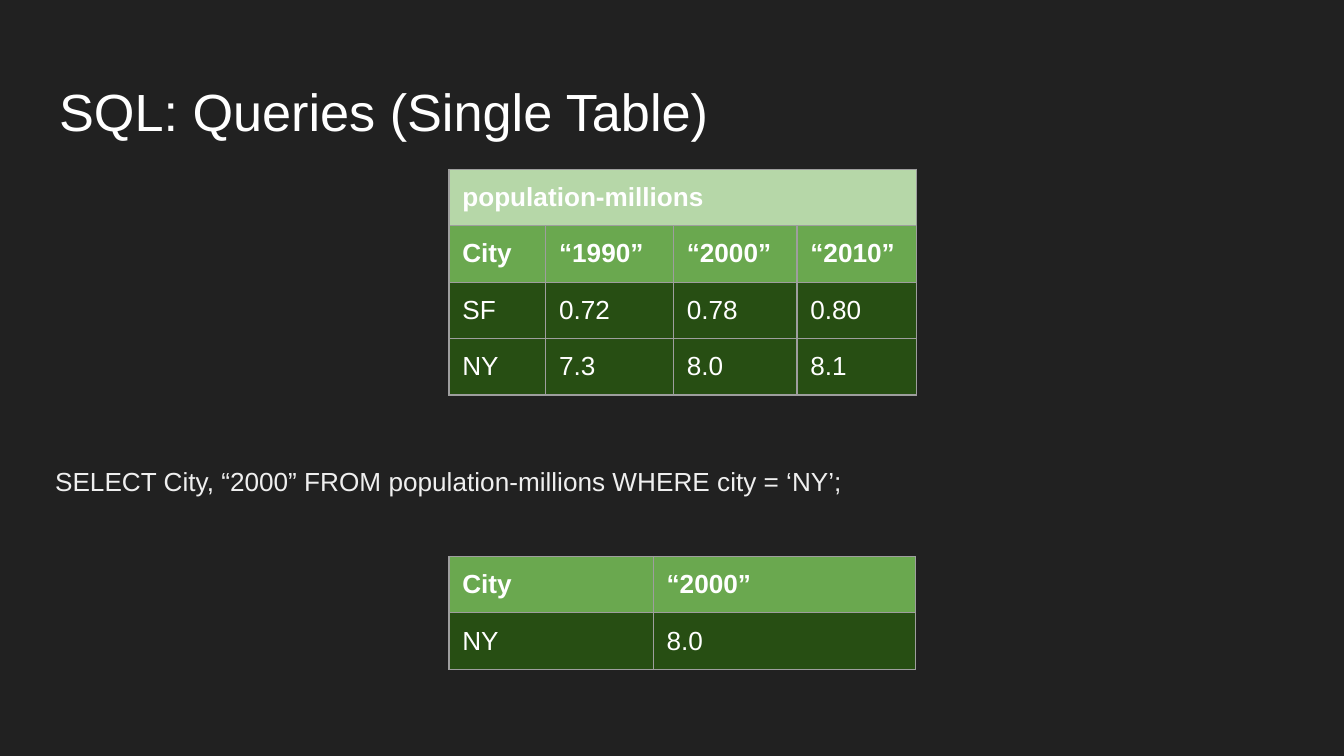
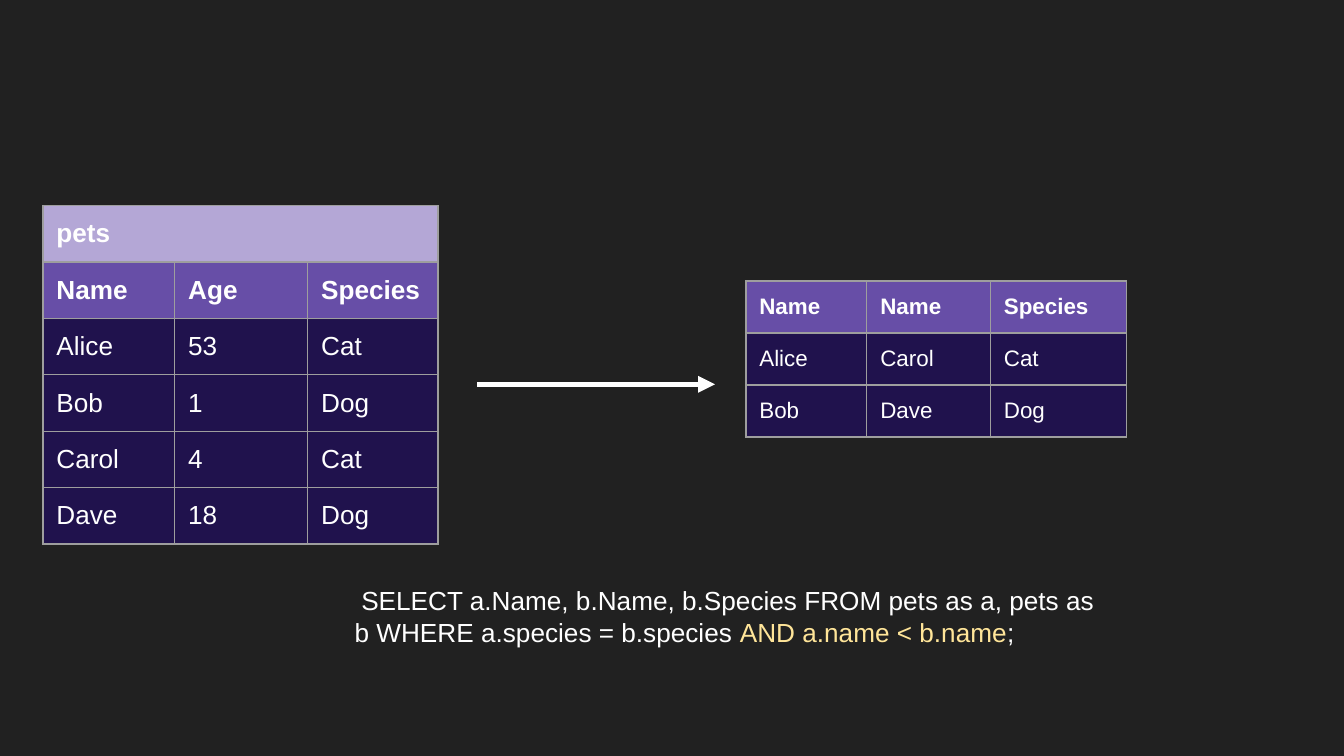
from dataclasses import dataclass

import lxml.etree
import pptx
import pptx.dml.color
import pptx.enum.shapes
import pptx.enum.text
import pptx.oxml.ns
import pptx.util

Inches = pptx.util.Inches
Pt = pptx.util.Pt
qn = pptx.oxml.ns.qn


@dataclass(frozen=True)
class Theme:
    font: str = "Arial"
    background: str = "212121"
    white: str = "FFFFFF"
    soft_white: str = "EFEFEF"
    highlight: str = "FFE599"
    border: str = "9E9E9E"
    # Fills for table name, column heads and data rows
    greens: tuple = ("B6D7A8", "6AA84F", "274E13")
    purples: tuple = ("B4A7D6", "674EA7", "20124D")
    title_size: int = 28
    text_size: int = 14
    small_size: int = 12
    inset: float = 0.1
    border_width: float = 0.75
    arrow_width: float = 3


def rgb(color):
    return pptx.dml.color.RGBColor.from_string(color)


class Deck:
    def __init__(self, theme):
        self.theme = theme
        self.presentation = pptx.Presentation()
        self.presentation.slide_width = Inches(10)
        self.presentation.slide_height = Inches(10) * 9 // 16
        fill = self.presentation.slide_master.background.fill
        fill.solid()
        fill.fore_color.rgb = rgb(theme.background)
        self.slide = None

    def add_slide(self, layout_name):
        layout = self.presentation.slide_layouts.get_by_name(layout_name)
        self.slide = self.presentation.slides.add_slide(layout)

    def style(self, font, size, color, bold=False):
        font.name = self.theme.font
        font.size = Pt(size)
        font.bold = bold
        font.color.rgb = rgb(color)

    def frame(self, shape, left, top, width, height):
        """Place a text shape and return its first paragraph, ready to fill."""
        shape.left, shape.top = Inches(left), Inches(top)
        shape.width, shape.height = Inches(width), Inches(height)
        text_frame = shape.text_frame
        text_frame.word_wrap = True
        text_frame.auto_size = pptx.enum.text.MSO_AUTO_SIZE.NONE
        text_frame.vertical_anchor = pptx.enum.text.MSO_ANCHOR.TOP
        for side in ("left", "top", "right", "bottom"):
            setattr(text_frame, f"margin_{side}", Inches(self.theme.inset))
        paragraph = text_frame.paragraphs[0]
        paragraph.alignment = pptx.enum.text.PP_ALIGN.LEFT
        paragraph.space_before = Pt(0)
        return paragraph

    def title(self, text, *box):
        paragraph = self.frame(self.slide.shapes.title, *box)
        paragraph.text = text
        self.style(paragraph.font, self.theme.title_size, self.theme.white)

    def body(self, text, *box):
        paragraph = self.frame(self.slide.placeholders[1], *box)
        paragraph.text = text
        properties = paragraph._p.get_or_add_pPr()
        properties.set("marL", "0")
        properties.set("indent", "0")
        lxml.etree.SubElement(properties, qn("a:buNone"))
        self.style(paragraph.font, self.theme.text_size, self.theme.soft_white)

    def text(self, parts, *box, first_indent=0):
        """Add a text box whose parts are (text, color) pairs."""
        shape = self.slide.shapes.add_textbox(0, 0, 0, 0)
        paragraph = self.frame(shape, *box)
        paragraph._p.get_or_add_pPr().set("indent", str(Inches(first_indent)))
        for text, color in parts:
            run = paragraph.add_run()
            run.text = text
            self.style(run.font, self.theme.text_size, color)

    def table(self, left, top, widths, row_height, rows, fills, name=None, size=None):
        """Add a table: an optional merged name row, column heads, then data."""
        name_fill, head_fill, data_fill = fills
        row_fills = [head_fill] + [data_fill] * (len(rows) - 1)
        if name:
            rows = [[name] + [""] * (len(widths) - 1)] + rows
            row_fills.insert(0, name_fill)
        table = self.slide.shapes.add_table(
            len(rows), len(widths), Inches(left), Inches(top),
            Inches(sum(widths)), Inches(row_height * len(rows))).table
        table.first_row = table.horz_banding = False
        for column, width in zip(table.columns, widths):
            column.width = Inches(width)
        for row_index, (values, fill) in enumerate(zip(rows, row_fills)):
            table.rows[row_index].height = Inches(row_height)
            for column_index, value in enumerate(values):
                self.fill_cell(table.cell(row_index, column_index), value, fill,
                               size or self.theme.text_size, fill != data_fill)
        if name:
            table.cell(0, 0).merge(table.cell(0, len(widths) - 1))

    def fill_cell(self, cell, value, fill, size, bold):
        for side in ("left", "top", "right", "bottom"):
            setattr(cell, f"margin_{side}", Inches(self.theme.inset))
        cell.fill.solid()
        cell.fill.fore_color.rgb = rgb(fill)
        paragraph = cell.text_frame.paragraphs[0]
        paragraph.text = value
        self.style(paragraph.font, size, self.theme.white, bold)
        properties = cell._tc.get_or_add_tcPr()
        for index, edge in enumerate(("a:lnL", "a:lnR", "a:lnT", "a:lnB")):
            line = lxml.etree.Element(qn(edge), w=str(Pt(self.theme.border_width)))
            solid = lxml.etree.SubElement(line, qn("a:solidFill"))
            lxml.etree.SubElement(solid, qn("a:srgbClr"), val=self.theme.border)
            properties.insert(index, line)

    def arrow(self, start_x, start_y, end_x, end_y):
        connector = self.slide.shapes.add_connector(
            pptx.enum.shapes.MSO_CONNECTOR.STRAIGHT,
            Inches(start_x), Inches(start_y), Inches(end_x), Inches(end_y))
        connector.line.color.rgb = rgb(self.theme.white)
        connector.line.width = Pt(self.theme.arrow_width)
        lxml.etree.SubElement(connector.line._get_or_add_ln(), qn("a:tailEnd"), type="triangle")
        lxml.etree.SubElement(connector._element.spPr, qn("a:effectLst"))

    def save(self):
        self.presentation.save("out.pptx")


def add_single_table_query(deck):
    greens = deck.theme.greens
    deck.add_slide("Title and Content")
    deck.title("SQL: Queries (Single Table)", 0.34, 0.49, 9.32, 0.63)
    deck.body("SELECT City, “2000” FROM population-millions WHERE city = ‘NY’;",
              0.31, 3.36, 9.54, 0.42)
    deck.table(3.34, 1.26, [0.72, 0.95, 0.92, 0.89], 0.42, [
        ["City", "“1990”", "“2000”", "“2010”"],
        ["SF", "0.72", "0.78", "0.80"],
        ["NY", "7.3", "8.0", "8.1"],
    ], greens, name="population-millions")
    deck.table(3.34, 4.14, [1.52, 1.95], 0.42,
               [["City", "“2000”"], ["NY", "8.0"]], greens)


def add_self_join(deck):
    theme = deck.theme
    deck.add_slide("Blank")
    deck.table(0.32, 1.53, [0.98, 0.99, 0.97], 0.42, [
        ["Name", "Age", "Species"],
        ["Alice", "53", "Cat"],
        ["Bob", "1", "Dog"],
        ["Carol", "4", "Cat"],
        ["Dave", "18", "Dog"],
    ], theme.purples, name="pets")
    deck.table(5.55, 2.09, [0.9, 0.92, 1.01], 0.38, [
        ["Name", "Name", "Species"],
        ["Alice", "Carol", "Cat"],
        ["Bob", "Dave", "Dog"],
    ], theme.purples, size=theme.small_size)
    deck.arrow(3.55, 2.86, 5.32, 2.86)
    deck.text([
        ("SELECT a.Name, b.Name, b.Species FROM pets as a, pets as b "
         "WHERE a.species = b.species ", theme.white),
        ("AND a.name < b.name", theme.highlight),
        (";", theme.white),
    ], 2.54, 4.25, 5.84, 1.5, first_indent=0.05)


def main():
    deck = Deck(Theme())
    add_single_table_query(deck)
    add_self_join(deck)
    deck.save()


if __name__ == "__main__":
    main()
